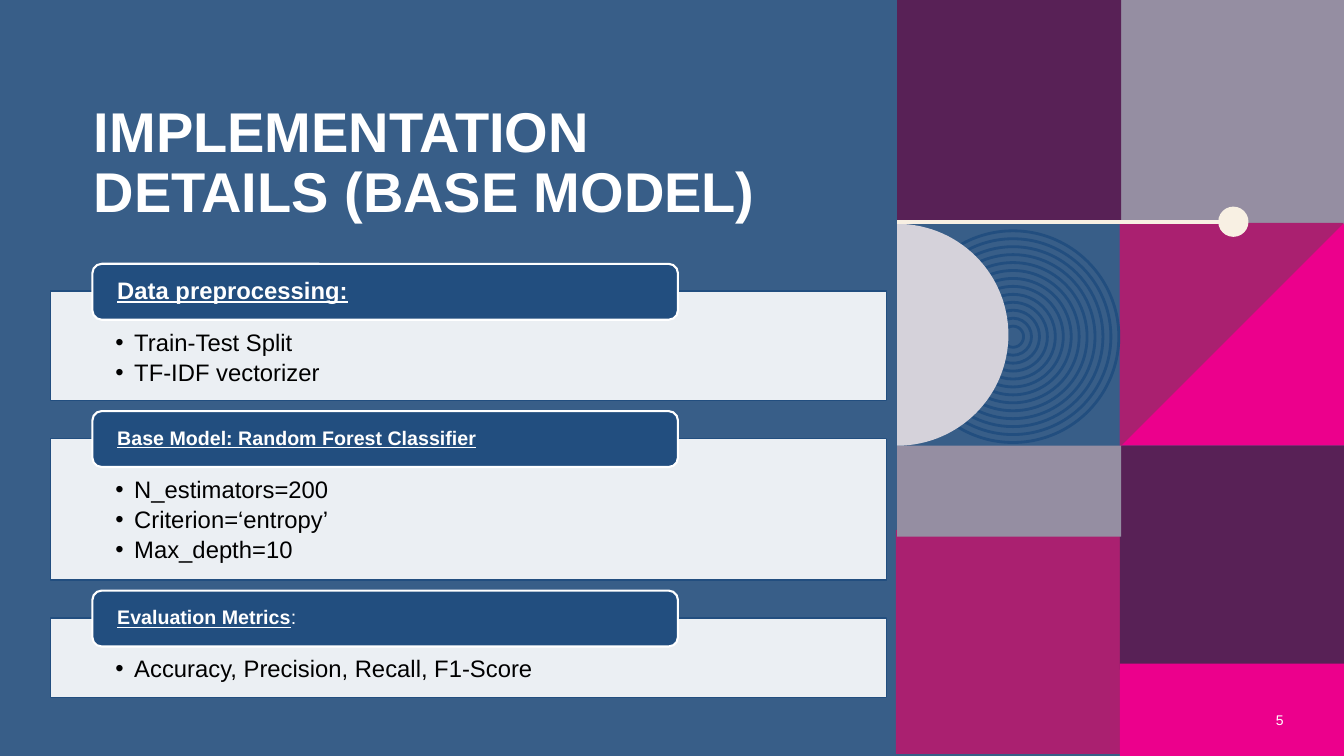
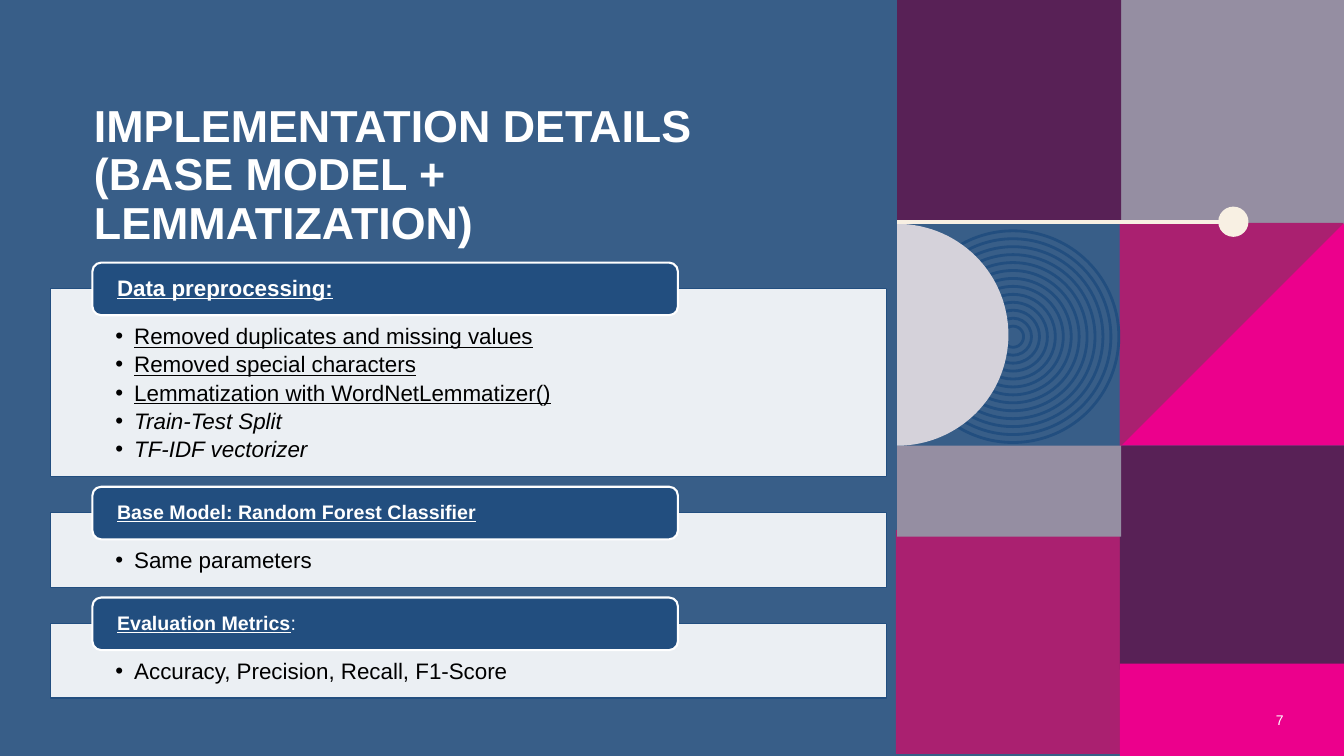
import collections
import math

import pptx
import pptx.dml.color
import pptx.enum.dml
import pptx.enum.shapes
import pptx.enum.text
import pptx.oxml
import pptx.oxml.ns
import pptx.util
from lxml import etree

Pt = pptx.util.Pt
Preset = pptx.enum.shapes.MSO_SHAPE
Anchor = pptx.enum.text.MSO_ANCHOR
Align = pptx.enum.text.PP_ALIGN
Box = collections.namedtuple("Box", "left top width height")
Section = collections.namedtuple("Section", "label label_size height bullets suffix", defaults=[""])

FONT = "Arial"
BLUE, NAVY, WHITE, BLACK = "385E88", "224E7F", "FFFFFF", "000000"
PINK, MAGENTA, PLUM = "EC008C", "AA2070", "582156"
MAUVE, PALE, CREAM = "958EA2", "D5D2DA", "F8F0E3"

SLIDE = Box(0, 0, 960, 540)
MOSAIC = Box(640.8, 0, 319.2, 540)
TITLE = Box(60, 70.5, 519, 156)
NUMBER = Box(888, 500.5, 36, 28.5)
PANEL_LEFT, PANEL_WIDTH = 36, 597.5
TILE = 160


def color(code):
    return pptx.dml.color.RGBColor.from_string(code)


def drawing_tag(name):
    return pptx.oxml.ns.qn("a:" + name)


def paint(shape, fill=None, line=None, line_width=1, opacity=100):
    shape.shadow.inherit = False
    if fill:
        shape.fill.solid()
        shape.fill.fore_color.rgb = color(fill)
        if opacity < 100:
            solid = shape._element.spPr.find(drawing_tag("solidFill"))
            etree.SubElement(solid[0], drawing_tag("alpha"), val=str(opacity * 1000))
    else:
        shape.fill.background()
    if line:
        shape.line.color.rgb = color(line)
        shape.line.width = Pt(line_width)
    else:
        shape.line.fill.background()
    return shape


def add_preset(page, preset, box, **look):
    return paint(page.shapes.add_shape(preset, *map(Pt, box)), **look)


def add_outline(page, points, **look):
    """Draw a closed polygon through points."""
    start, *others = [(Pt(x), Pt(y)) for x, y in points]
    builder = page.shapes.build_freeform(*start, scale=1.0)
    builder.add_line_segments(others, close=True)
    return paint(builder.convert_to_shape(), **look)


def add_span(para, text, size, shade=WHITE, bold=False, italic=False, underline=False):
    span = para.add_run()
    span.text = text
    font = span.font
    font.name, font.size, font.color.rgb = FONT, Pt(size), color(shade)
    font.bold, font.italic, font.underline = bold, italic, underline


def set_frame(frame, anchor, insets):
    """Set wrapping, anchor and left, top, right, bottom insets."""
    frame.word_wrap = True
    frame.vertical_anchor = anchor
    (frame.margin_left, frame.margin_top,
     frame.margin_right, frame.margin_bottom) = map(Pt, insets)


def add_text_box(page, box, text, anchor, align, **style):
    frame = page.shapes.add_textbox(*map(Pt, box)).text_frame
    set_frame(frame, anchor, (7.2, 3.6, 7.2, 3.6))
    para = frame.paragraphs[0]
    para.alignment = align
    para.line_spacing = 0.9
    add_span(para, text, **style)


def add_bullet(para, indent):
    properties = para._p.get_or_add_pPr()
    properties.set("marL", str(Pt(indent)))
    properties.set("indent", str(-Pt(indent)))
    etree.SubElement(properties, drawing_tag("buFont"), typeface=FONT)
    etree.SubElement(properties, drawing_tag("buChar"), char="•")


def add_mosaic(page, box):
    left, top = box.left, box.top
    middle = left + box.width - TILE
    row = top + TILE - 1.6
    low = row + TILE
    tiles = [
        (middle, row, TILE, PINK),
        (middle, top, TILE, MAUVE),
        (left, top, TILE - 0.5, PLUM),
        (left - 0.8, top + 378.5, TILE, MAGENTA),
        (middle, low, TILE, PLUM),
        (middle, top + 474, 66, PINK),
    ]
    for x, y, height, fill in tiles:
        add_preset(page, Preset.RECTANGLE, Box(x, y, TILE, height), fill=fill)
    corner = row + 0.8
    add_outline(page, [(middle, corner), (middle + TILE, corner), (middle, corner + TILE)],
                fill=MAGENTA)
    add_rings(page, Box(left + 7.2, row + 6.5, 151.2, 151.2))
    add_preset(page, Preset.RECTANGLE, Box(left, low, TILE, 65), fill=MAUVE)
    add_half_disc(page, Box(left, row + 1.5, 79.5, 158.5))
    add_pin(page, Box(left, row - 10.8, 251, 21.6))


def add_rings(page, box, count=13, step=5.67):
    for index in range(count):
        inset = index * step
        ring = Box(box.left + inset, box.top + inset,
                   box.width - 2 * inset, box.height - 2 * inset)
        add_preset(page, Preset.OVAL, ring, line=NAVY, line_width=2)


def add_half_disc(page, box, steps=60):
    radius = box.height / 2
    angles = [math.pi * (step / steps - 0.5) for step in range(steps + 1)]
    points = [(box.left + box.width * math.cos(angle),
               box.top + radius * (1 + math.sin(angle))) for angle in angles]
    add_outline(page, points, fill=PALE)


def add_pin(page, box):
    """Draw a line that ends in a round head at the right of the box."""
    head = Box(box.left + box.width - box.height, box.top, box.height, box.height)
    center = box.top + box.height / 2
    line = page.shapes.add_connector(
        pptx.enum.shapes.MSO_CONNECTOR.STRAIGHT,
        Pt(box.left), Pt(center), Pt(head.left + box.height / 2), Pt(center))
    line.line.color.rgb = color(CREAM)
    line.line.width = Pt(3)
    etree.SubElement(line._element.spPr, drawing_tag("effectLst"))
    add_preset(page, Preset.OVAL, head, fill=CREAM)


def add_section(page, box, section, size):
    """Draw a bulleted panel with its label over the top edge."""
    panel = add_preset(page, Preset.RECTANGLE, box, fill=WHITE, opacity=90, line=NAVY)
    frame = panel.text_frame
    set_frame(frame, Anchor.TOP, (46.4, 1.65 * size, 46.4, 0.55 * size))
    for index, (text, style) in enumerate(section.bullets):
        para = frame.add_paragraph() if index else frame.paragraphs[0]
        para.alignment = Align.LEFT
        para.line_spacing = 0.9
        para.space_after = Pt(0.18 * size)
        add_bullet(para, 13.5)
        add_span(para, text, size, shade=BLACK, **style)

    label_box = Box(box.left + 30, box.top - 1.15 * size, 0.7 * box.width, 2.35 * size)
    label = add_preset(page, Preset.ROUNDED_RECTANGLE, label_box,
                       fill=NAVY, line=WHITE, line_width=1.5)
    set_frame(label.text_frame, Anchor.MIDDLE, (15.8, 0, 15.8, 0))
    para = label.text_frame.paragraphs[0]
    para.alignment = Align.LEFT
    para.line_spacing = 0.9
    add_span(para, section.label, section.label_size, bold=True, underline=True)
    if section.suffix:
        add_span(para, section.suffix, section.label_size)


def add_details_slide(deck, title, title_size, number, top, size, sections):
    page = deck.slides.add_slide(deck.slide_layouts[6])
    page.background.fill.solid()
    page.background.fill.fore_color.rgb = color(BLUE)
    add_mosaic(page, MOSAIC)
    add_text_box(page, TITLE, title, Anchor.TOP, Align.LEFT, size=title_size, bold=True)
    add_text_box(page, NUMBER, number, Anchor.MIDDLE, Align.RIGHT, size=10)
    for section in sections:
        add_section(page, Box(PANEL_LEFT, top, PANEL_WIDTH, section.height), section, size)
        top += section.height + 1.6 * size


def bullets(*texts, **style):
    return [(text, style) for text in texts]


def main():
    deck = pptx.Presentation()
    deck.slide_width, deck.slide_height = Pt(SLIDE.width), Pt(SLIDE.height)
    preprocessing = "Data preprocessing:"
    model = "Base Model: Random Forest Classifier"
    metrics = "Evaluation Metrics"
    scores = bullets("Accuracy, Precision, Recall, F1-Score")
    split = ("Train-Test Split", "TF-IDF vectorizer")

    add_details_slide(deck, "IMPLEMENTATION DETAILS (BASE MODEL)", 40, "5", 208, 17, [
        Section(preprocessing, 17, 78, bullets(*split)),
        Section(model, 14, 101, bullets(
            "N_estimators=200", "Criterion=‘entropy’", "Max_depth=10")),
        Section(metrics, 14, 57, scores, ":"),
    ])
    cleaning = bullets("Removed duplicates and missing values",
                       "Removed special characters",
                       "Lemmatization with WordNetLemmatizer()", underline=True)
    add_details_slide(
        deck, "IMPLEMENTATION DETAILS (BASE MODEL + LEMMATIZATION)", 32, "7", 206, 16, [
            Section(preprocessing, 16, 134.5, cleaning + bullets(*split, italic=True)),
            Section(model, 14, 53.5, bullets("Same parameters")),
            Section(metrics, 14, 53.5, scores, ":"),
        ])
    deck.save("out.pptx")


if __name__ == "__main__":
    main()
